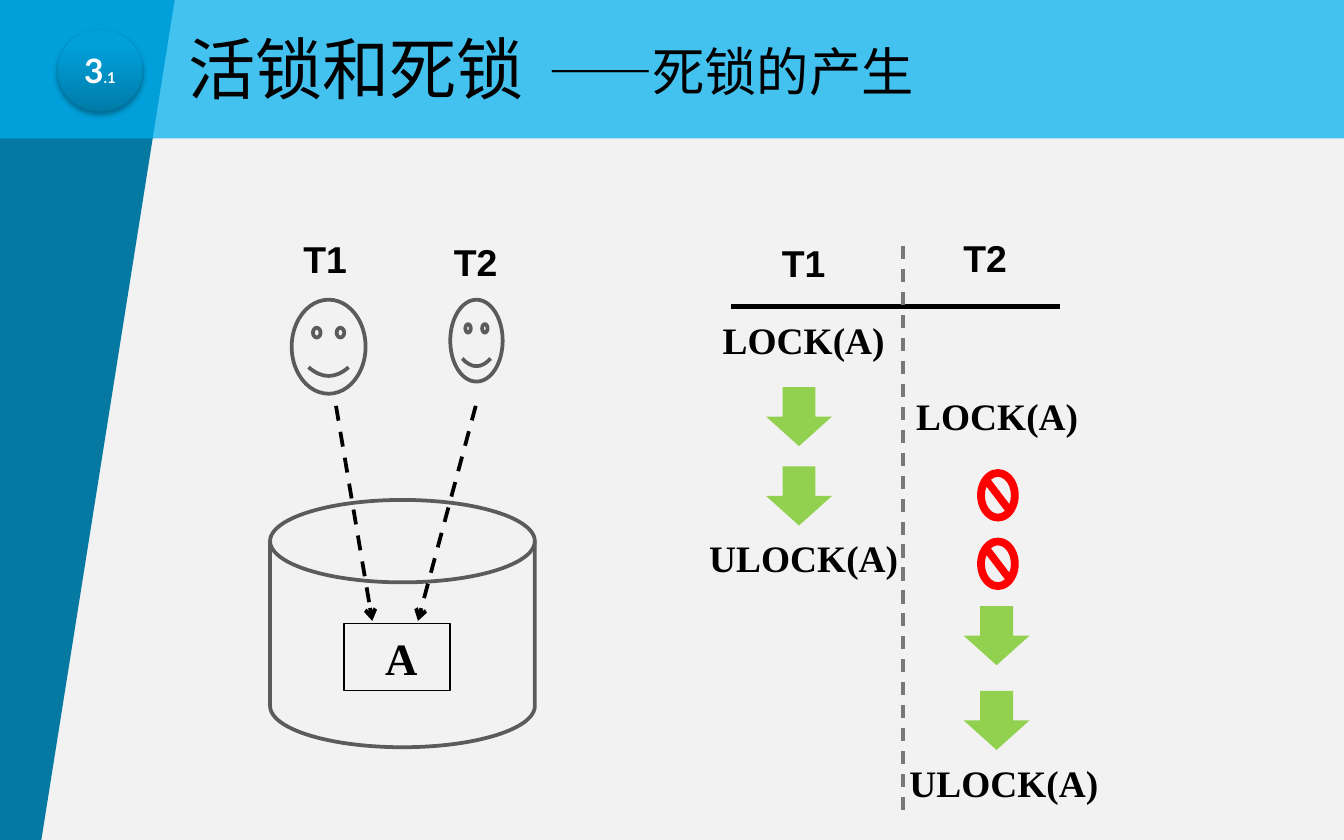
from lxml.etree import SubElement
from pptx import Presentation
from pptx.dml.color import RGBColor
from pptx.enum.dml import MSO_LINE
from pptx.enum.shapes import MSO_CONNECTOR, MSO_SHAPE
from pptx.enum.text import MSO_ANCHOR, MSO_AUTO_SIZE, PP_ALIGN
from pptx.oxml.ns import qn
from pptx.util import Emu, Inches, Pt

BLACK = RGBColor(0x00, 0x00, 0x00)
WHITE = RGBColor(0xFF, 0xFF, 0xFF)
PAPER = RGBColor(0xF2, 0xF2, 0xF2)
TEAL = RGBColor(0x06, 0x79, 0xA3)
SKY = RGBColor(0x00, 0xB0, 0xF0)
BADGE_DARK = RGBColor(0x00, 0x7B, 0xA8)
BADGE_LIGHT = RGBColor(0x00, 0xA0, 0xDA)
GREEN = RGBColor(0x92, 0xD0, 0x50)
RED = RGBColor(0xFF, 0x00, 0x00)
OUTLINE = RGBColor(0x5A, 0x5B, 0x5D)
DIVIDER = RGBColor(0x76, 0x78, 0x7B)

CELL = Inches(0.1)
COLUMNS, ROWS = 100, 62.5
SANS, SERIF, BADGE_FONT = "Arial", "Times New Roman", "Lato"


def cells(*values):
    """Turn grid columns or rows into lengths."""
    return [Emu(round(value * CELL)) for value in values]


class Canvas:
    def __init__(self, slide):
        self.slide = slide
        background = slide.background.fill
        background.solid()
        background.fore_color.rgb = PAPER

    def add_text(self, shape, runs, font, color=BLACK, bold=True, align=PP_ALIGN.CENTER,
                 anchor=MSO_ANCHOR.TOP, wrap=True):
        """Fill a shape with one paragraph of (text, size) runs."""
        frame = shape.text_frame
        frame.word_wrap = wrap
        frame.auto_size = MSO_AUTO_SIZE.NONE
        frame.vertical_anchor = anchor
        paragraph = frame.paragraphs[0]
        paragraph.alignment = align
        for text, size in runs:
            run = paragraph.add_run()
            run.text = text
            run.font.name = font
            run.font.size = Pt(size)
            run.font.bold = bold
            run.font.color.rgb = color

    def shape(self, kind, box, fill=None, line=None, weight=2):
        shape = self.slide.shapes.add_shape(kind, *cells(*box))
        self.paint(shape, fill, line, weight)
        return shape

    def paint(self, shape, fill, line=None, weight=2):
        shape.shadow.inherit = False
        if fill is None:
            shape.fill.background()
        else:
            shape.fill.solid()
            shape.fill.fore_color.rgb = fill
        if line is None:
            shape.line.fill.background()
        else:
            shape.line.color.rgb = line
            shape.line.width = Pt(weight)

    def polygon(self, points, fill):
        builder = self.slide.shapes.build_freeform(*points[0], scale=CELL)
        builder.add_line_segments(points[1:], close=True)
        self.paint(builder.convert_to_shape(), fill)

    def label(self, text, center, top, width, font, wrap=True):
        box = cells(center - width / 2, top, width, 4.4)
        self.add_text(self.slide.shapes.add_textbox(*box), [(text, 20)], font, wrap=wrap)

    def heading(self, shape, box, text, size):
        shape.left, shape.top, shape.width, shape.height = cells(*box)
        self.add_text(shape, [(text, size)], SANS, bold=False, align=PP_ALIGN.LEFT,
                      anchor=MSO_ANCHOR.MIDDLE)

    def line(self, start, end, color, weight, dashed=False, arrow=False):
        connector = self.slide.shapes.add_connector(
            MSO_CONNECTOR.STRAIGHT, *cells(*start, *end))
        connector.line.color.rgb = color
        connector.line.width = Pt(weight)
        if dashed:
            connector.line.dash_style = MSO_LINE.DASH
        properties = connector._element.spPr
        if arrow:
            SubElement(properties.find(qn("a:ln")), qn("a:tailEnd"), type="arrow")
        SubElement(properties, qn("a:effectLst"))

    def badge(self, box, runs):
        badge = self.shape(MSO_SHAPE.OVAL, box)
        badge.fill.gradient()
        badge.fill.gradient_angle = 90
        stops = badge.fill.gradient_stops
        for stop, color, position in zip(stops, (BADGE_DARK, BADGE_LIGHT), (0, 0.8)):
            stop.color.rgb = color
            stop.position = position
        effects = badge._element.spPr.find(qn("a:effectLst"))
        shadow = SubElement(effects, qn("a:outerShdw"), blurRad=str(Pt(3.1)),
                            dist=str(Pt(1.8)), dir="5400000", rotWithShape="0")
        shade = SubElement(shadow, qn("a:srgbClr"), val=str(BLACK))
        SubElement(shade, qn("a:alpha"), val="35000")
        self.add_text(badge, runs, BADGE_FONT, WHITE, anchor=MSO_ANCHOR.MIDDLE)


def draw_frame(canvas):
    canvas.polygon([(0, 0), (13, 0), (3, 63), (0, 63)], TEAL)
    band = canvas.shape(MSO_SHAPE.RECTANGLE, (0, 0, COLUMNS, 10.3), SKY)
    color = band._element.spPr.find(qn("a:solidFill"))[0]
    SubElement(color, qn("a:alpha"), val="72000")


def draw_schedule(canvas):
    """Show the lock steps of both transactions along a time line."""
    first, second = 59.8, 74.2
    canvas.line((54.4, 22.8), (78.9, 22.8), BLACK, 3)
    canvas.line((67.2, 18.3), (67.2, 61), DIVIDER, 1.75, dashed=True)
    canvas.label("T1", first, 17.4, 6.7, SANS)
    canvas.label("T2", 73.3, 17, 6.7, SANS)
    for text, center, top, width in (
            ("LOCK(A)", first, 23.1, 14.2), ("LOCK(A)", second, 28.8, 14.2),
            ("ULOCK(A)", first, 39.3, 16.2), ("ULOCK(A)", 74.7, 56.1, 16.2)):
        canvas.label(text, center, top, width, SERIF, wrap=False)
    for left, top in ((57, 28.8), (57, 34.7), (71.7, 45.1), (71.7, 51.4)):
        canvas.shape(MSO_SHAPE.DOWN_ARROW, (left, top, 4.9, 4.4), GREEN)
    for top in (34.9, 40):
        canvas.shape(MSO_SHAPE.NO_SYMBOL, (72.7, top, 3.1, 3.9), RED)


def draw_database(canvas):
    """Show two transactions reaching for the same data item."""
    canvas.shape(MSO_SHAPE.FLOWCHART_MAGNETIC_DISK, (20.1, 37.2, 19.7, 18.4), line=OUTLINE)
    item = canvas.shape(MSO_SHAPE.RECTANGLE, (25.6, 46.4, 7.9, 5), line=BLACK, weight=0.75)
    canvas.add_text(item, [(" ", 18), ("A", 24)], SERIF)
    for name, center, label_top, face, start, end in (
            ("T1", 24.2, 17.1, (21.7, 22.3, 5.5, 7), 25, 27.7),
            ("T2", 35.4, 17.3, (33.5, 22.3, 3.9, 6.1), 35.4, 31.1)):
        canvas.label(name, center, label_top, 6.7, SANS)
        canvas.shape(MSO_SHAPE.SMILEY_FACE, face, line=OUTLINE)
        canvas.line((start, 30.2), (end, 46.2), BLACK, 2, dashed=True, arrow=True)


def main():
    presentation = Presentation()
    presentation.slide_width, presentation.slide_height = cells(COLUMNS, ROWS)
    slide = presentation.slides.add_slide(presentation.slide_layouts[5])
    canvas = Canvas(slide)
    draw_frame(canvas)
    draw_schedule(canvas)
    draw_database(canvas)
    title = slide.shapes.title
    slide.shapes._spTree.append(title._element)
    canvas.heading(title, (13, 0, 27.6, 10), "活锁和死锁", 36)
    subtitle = slide.shapes.add_textbox(0, 0, CELL, CELL)
    canvas.heading(subtitle, (39.8, 1.3, 32.9, 7.9), "——死锁的产生", 28)
    canvas.badge((4.3, 2.2, 6.3, 6.1), [("3", 18), (".1", 8)])
    presentation.save("out.pptx")


if __name__ == "__main__":
    main()
